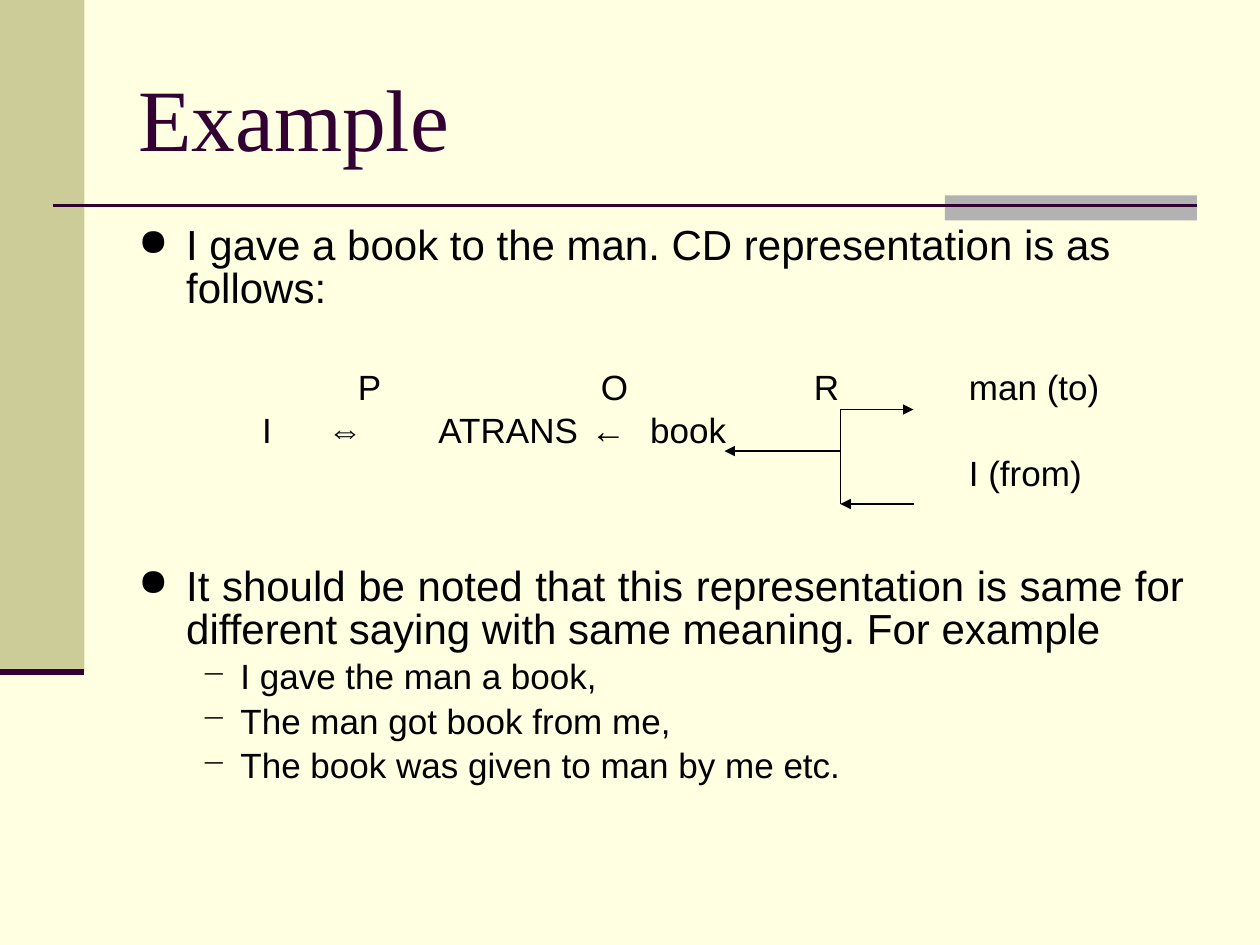
from dataclasses import dataclass
from lxml.etree import SubElement
from pptx import Presentation
from pptx.dml.color import RGBColor
from pptx.enum.shapes import MSO_CONNECTOR, MSO_SHAPE
from pptx.enum.text import MSO_ANCHOR, PP_ALIGN
from pptx.oxml.ns import qn
from pptx.util import Inches, Pt


@dataclass(frozen=True)
class Theme:
    paper: str = "FFFFE1"
    band: str = "CCCC99"
    accent: str = "B2B2B2"
    plum: str = "330033"
    ink: str = "000000"
    heading_font: str = "Times New Roman"
    body_font: str = "Arial"
    title: int = 50
    body: int = 24
    detail: int = 20


theme = Theme()

TITLE = "Example"
INTRO = "I gave a book to the man. CD representation is as follows:"
NOTE = ("It should be noted that this representation is same for "
        "different saying with same meaning. For example")
SAYINGS = [
    "I gave the man a book,",
    "The man got book from me,",
    "The book was given to man by me etc.",
]
DIAGRAM_ROWS = [
    [("P", 2.84), ("O", 4.77), ("R", 6.46), ("man (to)", 7.69)],
    [("I", 2.08), ("⇔", 2.6), ("ATRANS", 3.48), ("←", 4.69), ("book", 5.16)],
    [("I (from)", 7.69)],
]
ROW_TOP, ROW_PITCH = 2.9, 0.34
TEXT_LEFT, TEXT_WIDTH = 1, 8.5
BRACKET_X, BRACKET_END, BOOK_X = 6.67, 7.25, 5.75
TO_Y, STEM_Y, FROM_Y = 3.25, 3.58, 4
BAND_WIDTH, BAND_HEIGHT = 0.67, 5.33

deck = Presentation()
deck.slide_width, deck.slide_height = Inches(10), Inches(7.5)
page = deck.slides.add_slide(deck.slide_layouts[6])
page.background.fill.solid()
page.background.fill.fore_color.rgb = RGBColor.from_string(theme.paper)


def add_block(left, top, width, height, color):
    block = page.shapes.add_shape(
        MSO_SHAPE.RECTANGLE, Inches(left), Inches(top), Inches(width), Inches(height))
    block.shadow.inherit = False
    block.fill.solid()
    block.fill.fore_color.rgb = RGBColor.from_string(color)
    block.line.fill.background()


def add_line(start, end, color=theme.ink, weight=0.75, arrow=False):
    line = page.shapes.add_connector(
        MSO_CONNECTOR.STRAIGHT, *(Inches(value) for value in (*start, *end)))
    line.line.color.rgb = RGBColor.from_string(color)
    line.line.width = Pt(weight)
    if arrow:
        SubElement(line.line._get_or_add_ln(), qn("a:tailEnd"), type="triangle")
    SubElement(line._element.spPr, qn("a:effectLst"))


def add_box(left, top, width, height, inset=True, wrap=True, anchor=MSO_ANCHOR.TOP):
    box = page.shapes.add_textbox(
        Inches(left), Inches(top), Inches(width), Inches(height))
    frame = box.text_frame
    frame.word_wrap = wrap
    frame.vertical_anchor = anchor
    if not inset:
        frame.margin_left = frame.margin_right = 0
        frame.margin_top = frame.margin_bottom = 0
    return frame


def write(frame, text, size=theme.detail, font=theme.body_font, color=theme.ink,
          bullet=None, margin=0, hanging=0, spacing=None, before=0, align=PP_ALIGN.LEFT):
    para = frame.paragraphs[0] if not frame.text else frame.add_paragraph()
    if bullet:
        properties = para._p.get_or_add_pPr()
        properties.set("marL", str(Inches(margin)))
        properties.set("indent", str(-Inches(hanging)))
        bullet_color = SubElement(properties, qn("a:buClr"))
        SubElement(bullet_color, qn("a:srgbClr"), val=color)
        SubElement(properties, qn("a:buSzPct"), val="90000")
        SubElement(properties, qn("a:buChar"), char=bullet)
    para.alignment = align
    if spacing:
        para.line_spacing = spacing
    if before:
        para.space_before = Pt(before)
    span = para.add_run()
    span.text = text
    span.font.size = Pt(size)
    span.font.name = font
    span.font.color.rgb = RGBColor.from_string(color)


add_block(0, 0, BAND_WIDTH, BAND_HEIGHT, theme.band)
add_block(7.5, 1.55, 2, 0.2, theme.accent)
add_line((0.42, 1.63), (9.5, 1.63), theme.plum, 1.5)
add_line((0, BAND_HEIGHT), (BAND_WIDTH, BAND_HEIGHT), theme.plum, 3.5)

title = add_box(TEXT_LEFT, 0.3, TEXT_WIDTH, 1.25, anchor=MSO_ANCHOR.MIDDLE)
write(title, TITLE, size=theme.title, font=theme.heading_font, color=theme.plum)

main_bullet = dict(size=theme.body, bullet="●", margin=0.38, hanging=0.38, spacing=0.85)
sub_bullet = dict(bullet="−", margin=0.81, hanging=0.31, spacing=0.85, before=5,
                  align=PP_ALIGN.JUSTIFY)

intro = add_box(TEXT_LEFT, 1.75, TEXT_WIDTH, 0.8)
write(intro, INTRO, **main_bullet)

for row, labels in enumerate(DIAGRAM_ROWS):
    for label, left in labels:
        write(add_box(left, ROW_TOP + row * ROW_PITCH, 1.2, ROW_PITCH,
                      inset=False, wrap=False), label)

add_line((BRACKET_X, TO_Y), (BRACKET_X, FROM_Y))
for start, end in [
    ((BRACKET_X, STEM_Y), (BOOK_X, STEM_Y)),
    ((BRACKET_X, TO_Y), (BRACKET_END, TO_Y)),
    ((BRACKET_END, FROM_Y), (BRACKET_X, FROM_Y)),
]:
    add_line(start, end, arrow=True)

note = add_box(TEXT_LEFT, 4.45, TEXT_WIDTH, 2.25)
write(note, NOTE, align=PP_ALIGN.JUSTIFY, **main_bullet)
for saying in SAYINGS:
    write(note, saying, **sub_bullet)

deck.save("out.pptx")
